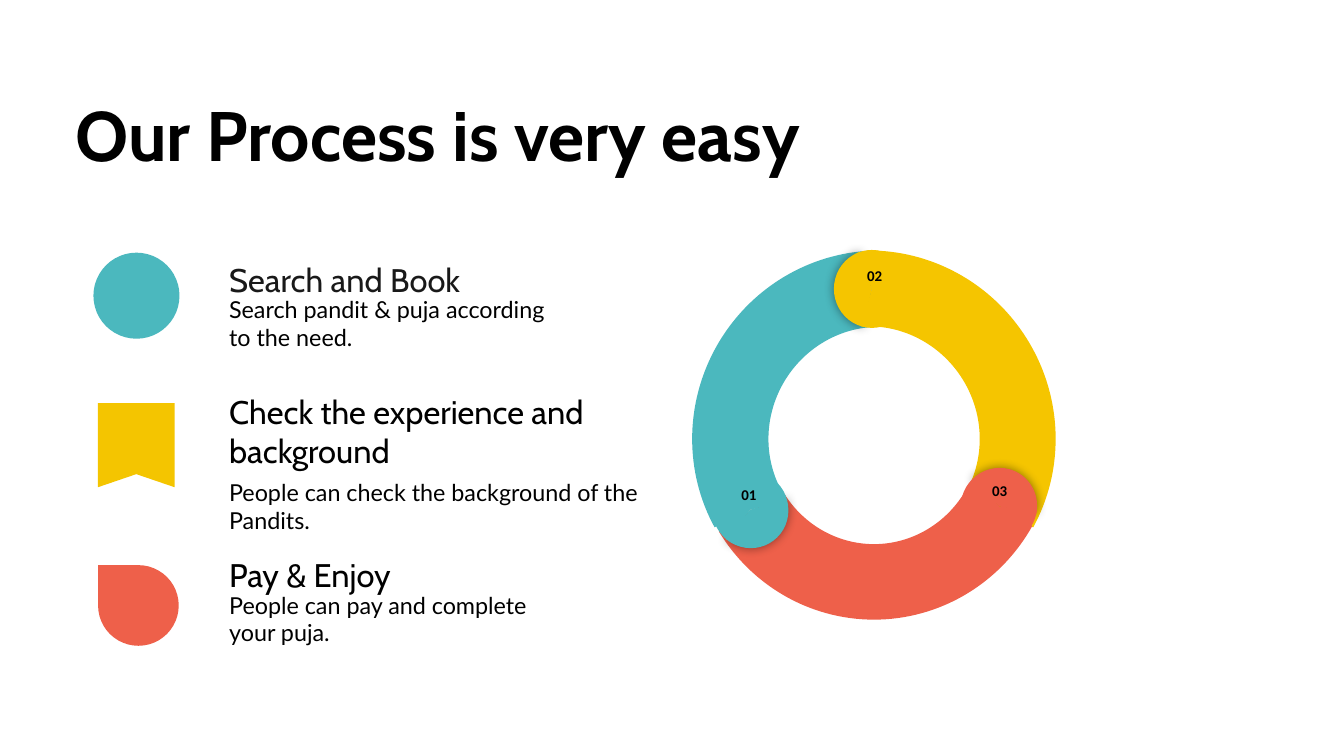
import dataclasses
import lxml.etree
import pptx
import pptx.dml.color
import pptx.enum.shapes
import pptx.enum.text
import pptx.oxml.ns
import pptx.shapes.autoshape
import pptx.slide
import pptx.util

Pt = pptx.util.Pt
Kind = pptx.enum.shapes.MSO_SHAPE
Align = pptx.enum.text.PP_ALIGN
Shape = pptx.shapes.autoshape.Shape
Slide = pptx.slide.Slide
qn = pptx.oxml.ns.qn


@dataclasses.dataclass(frozen=True)
class Theme:
    teal: str = "4BB8BE"
    gold: str = "F4C500"
    red: str = "EE604A"
    ring_gold: str = "F5C500"
    black: str = "000000"
    soft: str = "191919"
    head_font: str = "Cabin"
    body_font: str = "Lato"
    mark_font: str = "Calibri"
    title: int = 75
    head: int = 35
    body: int = 25
    mark: int = 16


THEME = Theme()


@dataclasses.dataclass(frozen=True)
class Box:
    left: float
    top: float
    width: float
    height: float

    def sizes(self) -> list[pptx.util.Length]:
        return [Pt(n) for n in dataclasses.astuple(self)]


@dataclasses.dataclass(frozen=True)
class Style:
    font: str
    size: int
    color: str = THEME.black
    bold: bool = False
    space: float = 1.0
    align: Align = Align.LEFT
    inset: float = 0


@dataclasses.dataclass(frozen=True)
class Step:
    head: str
    body: str
    head_top: float
    body_top: float
    width: float = 361
    head_high: float = 51
    space: float = 1.2
    color: str = THEME.black


@dataclasses.dataclass(frozen=True)
class Arc:
    box: Box
    turn: float
    end: float
    thick: float
    color: str


@dataclasses.dataclass(frozen=True)
class Cap:
    text: str
    box: Box
    mark: Box
    turn: float
    color: str


STEPS = [
    Step("Search and Book", "Search pandit & puja according to the need.",
         270, 316.8, color=THEME.soft),
    Step("Check the experience and background",
         "People can check the background of the Pandits.",
         419.8, 512.6, width=453.6, head_high=85, space=1.0),
    Step("Pay & Enjoy", "People can pay and complete your puja.", 586, 632.9),
]
ARCS = [
    Arc(Box(735.1, 271.4, 398.9, 391), 60, 197.82, 0.208, THEME.ring_gold),
    Arc(Box(740.9, 265, 391, 398.9), 180, 196.63, 0.207, THEME.red),
    Arc(Box(738.7, 271.4, 398.9, 391), 300, 197.03, 0.209, THEME.teal),
]
CAPS = [
    Cap("01 ", Box(762.5, 505.4, 82.8, 81.4), Box(768.2, 512.6, 72, 38), 240, THEME.teal),
    Cap("02 ", Box(893.5, 267.8, 81.4, 83.5), Box(902.9, 277.9, 72, 38), 0, THEME.ring_gold),
    Cap("03 ", Box(1028.9, 501.8, 82.8, 81.4), Box(1036.8, 508.3, 72, 38), 120, THEME.red),
]


def paint(shape: Shape, color: str) -> None:
    shape.shadow.inherit = False
    shape.fill.solid()
    shape.fill.fore_color.rgb = pptx.dml.color.RGBColor.from_string(color)
    shape.line.fill.background()


def draw(slide: Slide, kind: Kind, box: Box, color: str,
         turn: float = 0, bends: tuple[float, ...] = ()) -> Shape:
    shape = slide.shapes.add_shape(kind, *box.sizes())
    paint(shape, color)
    shape.rotation = turn
    for i, bend in enumerate(bends):
        shape.adjustments[i] = bend
    return shape


def glow(shape: Shape) -> None:
    """Put a soft dark shadow all round the shape."""
    effects = shape._element.spPr.find(qn("a:effectLst"))
    shade = lxml.etree.SubElement(effects, qn("a:outerShdw"),
                                  blurRad=str(Pt(11.2)), dist="0", dir="0")
    tint = lxml.etree.SubElement(shade, qn("a:srgbClr"), val=THEME.black)
    lxml.etree.SubElement(tint, qn("a:alpha"), val="43000")


def fill_text(shape: Shape, text: str, style: Style) -> None:
    frame = shape.text_frame
    frame.text = text
    frame.word_wrap = True
    frame.auto_size = pptx.enum.text.MSO_AUTO_SIZE.NONE
    frame.vertical_anchor = pptx.enum.text.MSO_ANCHOR.TOP
    frame.margin_left = frame.margin_right = Pt(style.inset)
    frame.margin_top = frame.margin_bottom = Pt(style.inset)
    line = frame.paragraphs[0]
    line.alignment = style.align
    line.line_spacing = style.space
    font = line.runs[0].font
    font.name = style.font
    font.size = Pt(style.size)
    font.bold = style.bold
    font.color.rgb = pptx.dml.color.RGBColor.from_string(style.color)


def write(slide: Slide, box: Box, text: str, style: Style) -> None:
    fill_text(slide.shapes.add_textbox(*box.sizes()), text, style)


def add_title(slide: Slide) -> None:
    title = slide.shapes.title
    title.left, title.top, title.width, title.height = Box(80.6, 80, 894, 109).sizes()
    fill_text(title, "Our Process is very easy",
              Style(THEME.head_font, THEME.title, bold=True, space=1.2))


def add_icons(slide: Slide) -> None:
    draw(slide, Kind.OVAL, Box(100.1, 270.7, 92.2, 92.2), THEME.teal)
    ribbon = slide.shapes.build_freeform(105, 432, scale=Pt(1))
    ribbon.add_line_segments([(187, 432), (187, 522), (146, 508), (105, 522)])
    paint(ribbon.convert_to_shape(), THEME.gold)
    draw(slide, Kind.TEAR, Box(105.1, 605.5, 86.4, 86.4), THEME.red, turn=270)


def add_step(slide: Slide, step: Step) -> None:
    left = 245.5
    write(slide, Box(left, step.head_top, step.width, step.head_high), step.head,
          Style(THEME.head_font, THEME.head, step.color, space=step.space))
    write(slide, Box(left, step.body_top, step.width, 60.5), step.body,
          Style(THEME.body_font, THEME.body))


def add_cap(slide: Slide, cap: Cap) -> None:
    # The shaded half falls on the next arc; the plain half joins its own
    glow(draw(slide, Kind.PIE, cap.box, cap.color, cap.turn + 0.6, (61.9, 149.96)))
    draw(slide, Kind.PIE, cap.box, cap.color, (cap.turn + 180) % 360, (40.28, 171.84))


def main() -> None:
    deck = pptx.Presentation()
    deck.slide_width, deck.slide_height = Pt(1440), Pt(810)
    slide = deck.slides.add_slide(deck.slide_layouts[5])

    # Title and list of steps
    add_title(slide)
    add_icons(slide)
    for step in STEPS:
        add_step(slide, step)

    # Ring of three arcs with round caps
    for arc in ARCS:
        draw(slide, Kind.BLOCK_ARC, arc.box, arc.color, arc.turn,
             (126.23, arc.end, arc.thick))
    for cap in CAPS:
        add_cap(slide, cap)

    # Step numbers
    mark = Style(THEME.mark_font, THEME.mark, bold=True, align=Align.CENTER, inset=7.2)
    for cap in CAPS:
        write(slide, cap.mark, cap.text, mark)

    deck.save("out.pptx")


if __name__ == "__main__":
    main()
